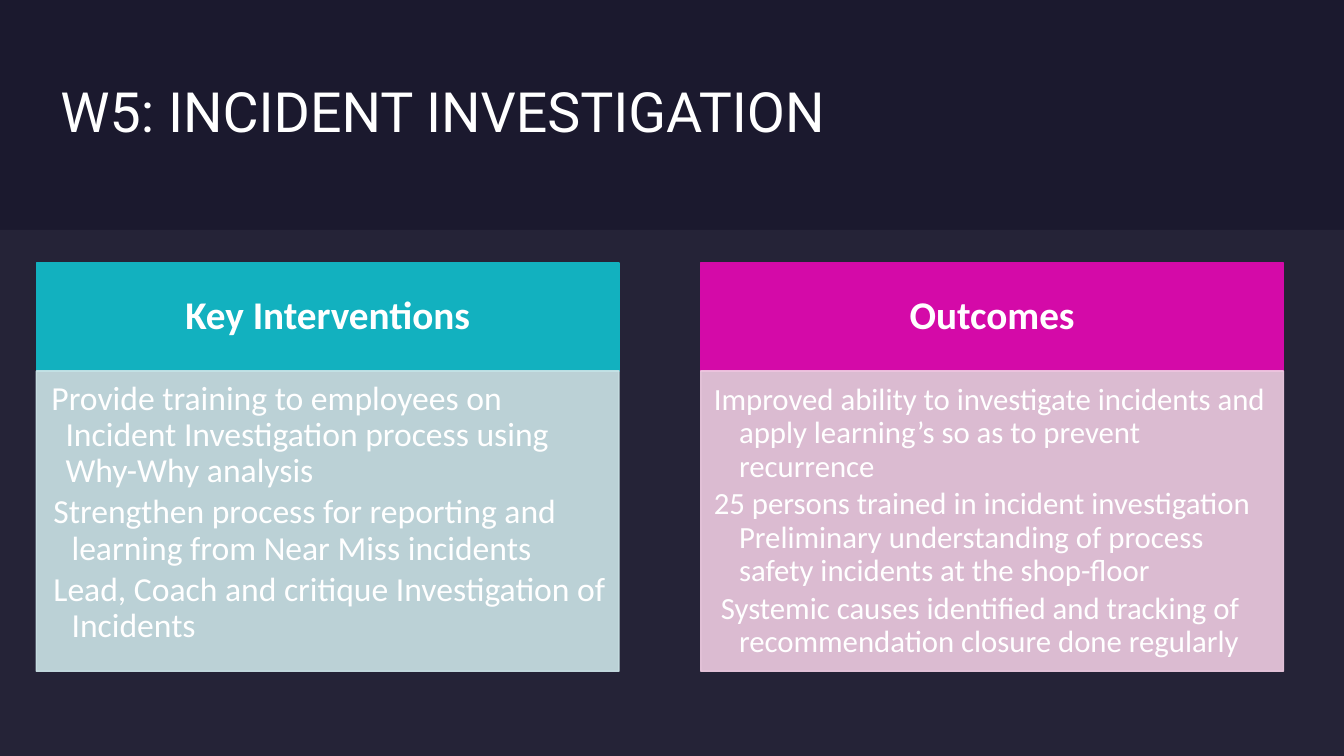
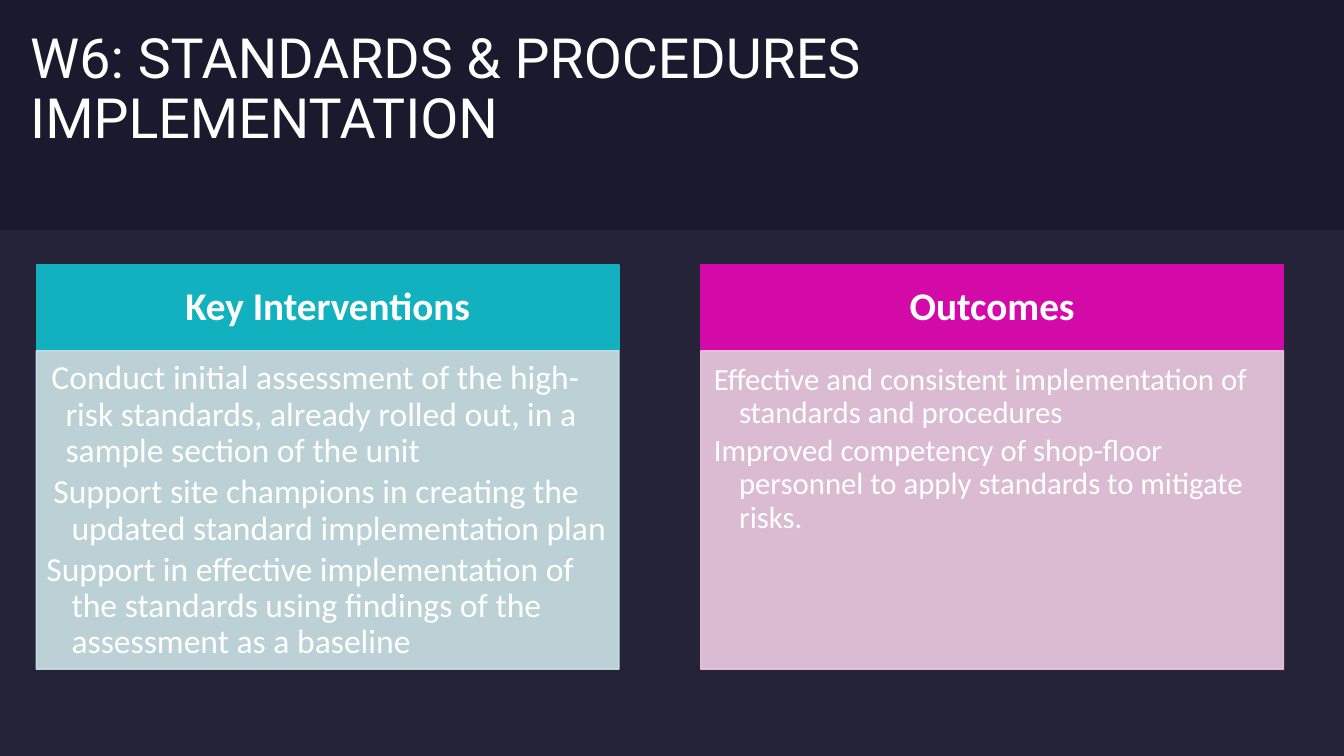
from dataclasses import dataclass

from lxml import etree
from pptx import Presentation
from pptx import util as u
from pptx.dml.color import RGBColor
from pptx.enum import shapes, text
from pptx.oxml.ns import qn


@dataclass(frozen=True)
class Theme:
    background: str = "1B192E"
    band: str = "E4E3F0"
    ink: str = "FFFFFF"
    title_font: str = "Roboto"
    body_font: str = "Calibri"
    title_size: float = 39.6
    heading_size: float = 28
    line_spacing: float = 0.9


@dataclass(frozen=True)
class Column:
    heading: str
    left: float
    heading_id: int
    body_id: int
    strong: str
    soft: str
    size: float
    insets: tuple


@dataclass(frozen=True)
class Item:
    wording: str
    start: float = 0
    margin: float = 0.25


COLUMN_WIDTH = 5.78
BAND_TOP = 2.28
INTERVENTIONS = Column("Key Interventions", 0.36, 1, 2, "12B1BF", "CCE4E8", 24,
                       (0.1, 0.1, 0.13, 0.15))
OUTCOMES = Column("Outcomes", 6.95, 3, 4, "D40AA8", "EFCCE2", 22,
                  (0.13, 0.13, 0.17, 0.19))


class Deck:
    def __init__(self, theme):
        self.theme = theme
        self.presentation = Presentation()
        self.presentation.slide_width = u.Inches(13.33)
        self.presentation.slide_height = u.Inches(7.5)
        self.layout = self.presentation.slide_layouts.get_by_name("Comparison")
        self.slide = None

    def add_slide(self):
        first = self.slide is None
        self.slide = self.presentation.slides.add_slide(self.layout)
        if first:
            self.style_layout()

    def style_layout(self):
        fill = self.layout.background.fill
        fill.solid()
        fill.fore_color.rgb = RGBColor.from_string(self.theme.background)
        band = self.slide.shapes.add_shape(
            shapes.MSO_SHAPE.RECTANGLE, 0, u.Inches(BAND_TOP),
            self.presentation.slide_width,
            self.presentation.slide_height - u.Inches(BAND_TOP))
        band.shadow.inherit = False
        self.paint(band, self.theme.band, 5)
        band.line.fill.background()
        self.layout.placeholders[0].element.addprevious(band.element)

    def paint(self, shape, color, opacity=100):
        shape.fill.solid()
        shape.fill.fore_color.rgb = RGBColor.from_string(color)
        shape.line.color.rgb = RGBColor.from_string(color)
        shape.line.width = u.Pt(1)
        if opacity < 100:
            for node in shape.element.spPr.iter(qn("a:srgbClr")):
                etree.SubElement(node, qn("a:alpha"), val=str(opacity * 1000))

    def place(self, shape, box, insets, anchor):
        shape.left, shape.top, shape.width, shape.height = map(u.Inches, box)
        frame = shape.text_frame
        frame.word_wrap = True
        frame.auto_size = text.MSO_AUTO_SIZE.NONE
        frame.vertical_anchor = anchor
        (frame.margin_left, frame.margin_top,
         frame.margin_right, frame.margin_bottom) = map(u.Inches, insets)
        return frame

    def style(self, paragraph, font, size, align, bold=False, after=0):
        paragraph.alignment = align
        paragraph.line_spacing = self.theme.line_spacing
        paragraph.space_before = u.Pt(0)
        paragraph.space_after = u.Pt(after)
        paragraph.font.name = font
        paragraph.font.size = u.Pt(size)
        paragraph.font.bold = bold
        paragraph.font.color.rgb = RGBColor.from_string(self.theme.ink)

    def title(self, wording, box):
        frame = self.place(self.slide.shapes.title, box, (0, 0, 0, 0),
                           text.MSO_ANCHOR.MIDDLE)
        frame.text = wording
        self.style(frame.paragraphs[0], self.theme.title_font,
                   self.theme.title_size, text.PP_ALIGN.LEFT)

    def heading(self, column, top, height):
        shape = self.slide.placeholders[column.heading_id]
        frame = self.place(shape, (column.left, top, COLUMN_WIDTH, height),
                           (0.22, 0.12, 0.22, 0.12), text.MSO_ANCHOR.MIDDLE)
        self.paint(shape, column.strong)
        frame.text = column.heading
        self.style(frame.paragraphs[0], self.theme.body_font,
                   self.theme.heading_size, text.PP_ALIGN.CENTER, bold=True)

    def body(self, column, top, height, items):
        shape = self.slide.placeholders[column.body_id]
        frame = self.place(shape, (column.left, top, COLUMN_WIDTH, height),
                           column.insets, text.MSO_ANCHOR.TOP)
        self.paint(shape, column.soft, 90)
        frame.text = "\n".join(item.wording for item in items)
        for paragraph, item in zip(frame.paragraphs, items):
            properties = paragraph._p.get_or_add_pPr()
            properties.set("marL", str(u.Inches(item.margin)))
            properties.set("indent", str(u.Inches(item.start - item.margin)))
            etree.SubElement(properties, qn("a:buNone"))
            self.style(paragraph, self.theme.body_font, column.size,
                       text.PP_ALIGN.LEFT, after=column.size * 0.15)

    def comparison(self, top, heading_height, body_height, interventions, outcomes):
        for column, items in ((INTERVENTIONS, interventions), (OUTCOMES, outcomes)):
            self.heading(column, top, heading_height)
            self.body(column, top + heading_height, body_height, items)


def main():
    deck = Deck(Theme())

    deck.add_slide()
    deck.title("W5: INCIDENT INVESTIGATION", (0.6, 0.6, 7.99, 1.08))
    deck.comparison(
        2.61, 1.07, 2.98,
        [Item("Provide training to employees on Incident Investigation process "
              "using Why-Why analysis", 0.05, 0.19),
         Item("Strengthen process for reporting and learning from Near Miss "
              "incidents", 0.07),
         Item("Lead, Coach and critique Investigation of Incidents", 0.07)],
        [Item("Improved ability to investigate incidents and apply learning’s "
              "so as to prevent recurrence"),
         Item("25 persons trained in incident investigation Preliminary "
              "understanding of process safety incidents at the shop-floor"),
         Item("Systemic causes identified and tracking of recommendation "
              "closure done regularly", 0.07)])

    deck.add_slide()
    deck.title("W6: STANDARDS & PROCEDURES IMPLEMENTATION",
               (0.3, 0.36, 12.73, 1.08))
    deck.comparison(
        2.63, 0.85, 3.16,
        [Item("Conduct initial assessment of the high-risk standards, already "
              "rolled out, in a sample section of the unit", 0.05, 0.19),
         Item("Support site champions in creating the updated standard "
              "implementation plan", 0.07),
         Item("Support in effective implementation of the standards using "
              "findings of the assessment as a baseline")],
        [Item("Effective and consistent implementation of standards and "
              "procedures"),
         Item("Improved competency of shop-floor personnel to apply standards "
              "to mitigate risks.")])

    deck.presentation.save("out.pptx")


if __name__ == "__main__":
    main()
